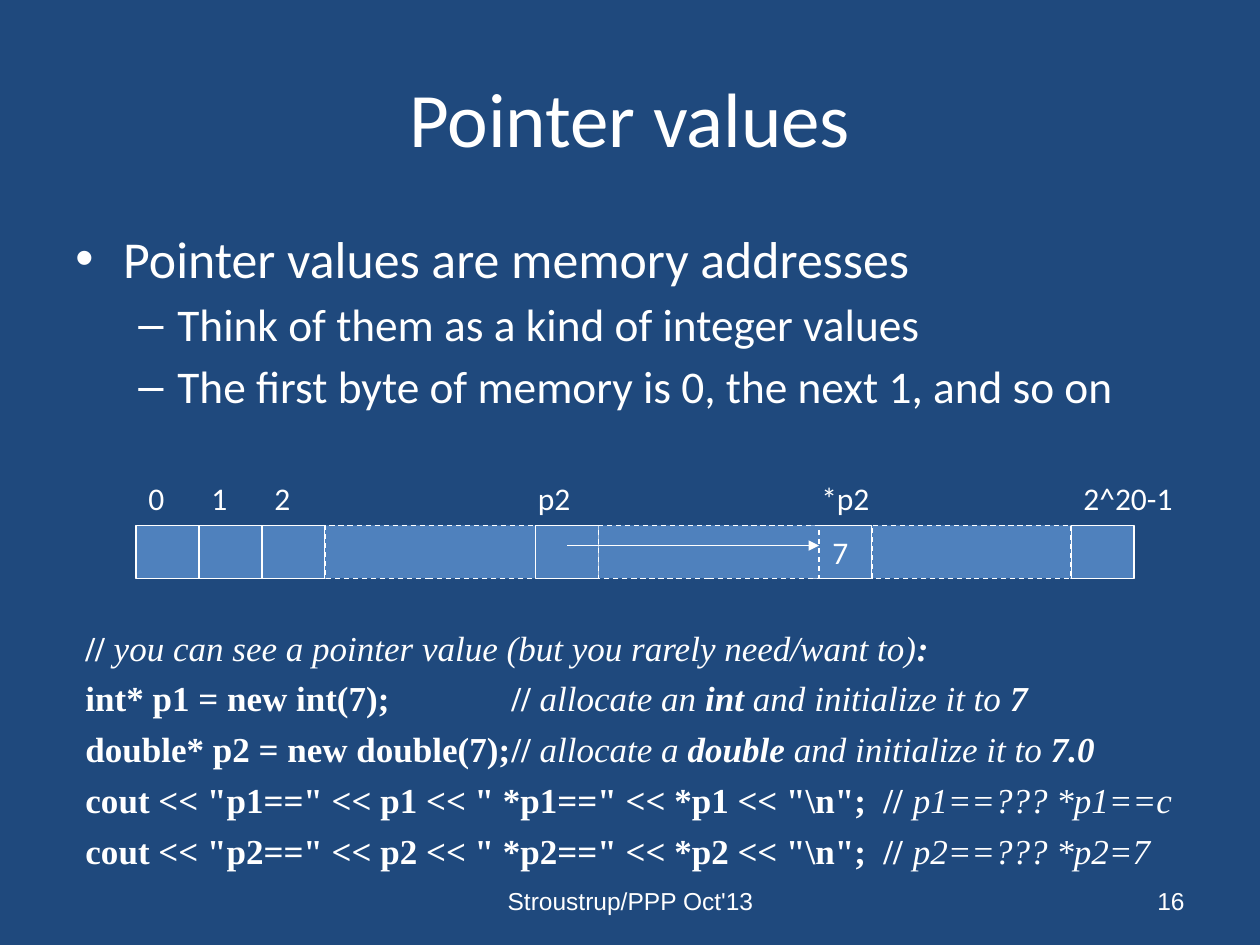
from lxml.etree import SubElement
from pptx import Presentation
from pptx.dml.color import RGBColor
from pptx.enum.dml import MSO_LINE
from pptx.enum.shapes import MSO_CONNECTOR, MSO_SHAPE
from pptx.enum.text import MSO_ANCHOR, PP_ALIGN
from pptx.oxml.ns import qn
from pptx.util import Inches, Pt

NAVY = RGBColor(0x1F, 0x49, 0x7D)
BLUE = RGBColor(0x4F, 0x81, 0xBD)
WHITE = RGBColor(0xFF, 0xFF, 0xFF)

CELL_TOP, CELL_HEIGHT, CELL_WIDTH = 4.17, 0.42, 0.5
LABEL_TOP = 3.75

BULLETS = [
    ("Pointer values are memory addresses", 29.6, "•", 0.38, 0.38),
    ("Think of them as a kind of integer values", 25.9, "–", 0.81, 0.31),
    ("The first byte of memory is 0, the next 1, and so on", 25.9, "–", 0.81, 0.31),
]

BOLD, ITALIC, BOLD_ITALIC = (True, False), (False, True), (True, True)
CODE = [
    [("// ", BOLD), ("you can see a pointer value (but you rarely need/want to)", ITALIC),
     (":", BOLD_ITALIC)],
    [("int* p1 = new int(7);\t\t// ", BOLD), ("allocate an", ITALIC), (" int ", BOLD_ITALIC),
     ("and initialize it to", ITALIC), (" 7", BOLD_ITALIC)],
    [("double* p2 = new double(7);\t// ", BOLD), ("allocate a", ITALIC),
     (" double ", BOLD_ITALIC), ("and initialize it to", ITALIC), (" 7.0", BOLD_ITALIC)],
    [('cout << "p1==" << p1 << " *p1==" << *p1 << "\\n";  // ', BOLD),
     ("p1==??? *p1==c", ITALIC)],
    [('cout << "p2==" << p2 << " *p2==" << *p2 << "\\n";  // ', BOLD),
     ("p2==??? *p2=7", ITALIC)],
]

LABELS = [("0", 1.08, 0.42), ("1", 1.58, 0.42), ("2", 2.08, 0.42),
          ("p2", 4.17, 0.67), ("*p2", 6.42, 0.67), ("2^20-1", 8.5, 1.08)]


def style_span(span, size, font="Calibri"):
    span.font.size = Pt(size)
    span.font.name = font
    span.font.color.rgb = WHITE


def set_indent(paragraph, margin, hanging):
    properties = paragraph._p.get_or_add_pPr()
    properties.set("marL", str(Inches(margin)))
    properties.set("indent", str(-Inches(hanging)))
    return properties


def add_box(page, left, top, width, height, anchor=MSO_ANCHOR.TOP):
    box = page.shapes.add_textbox(Inches(left), Inches(top), Inches(width), Inches(height))
    box.text_frame.word_wrap = True
    box.text_frame.vertical_anchor = anchor
    return box.text_frame


def add_line_of_text(page, text, place, size, font="Calibri",
                     align=PP_ALIGN.LEFT, anchor=MSO_ANCHOR.MIDDLE):
    frame = add_box(page, *place, anchor)
    frame.text = text
    paragraph = frame.paragraphs[0]
    paragraph.alignment = align
    style_span(paragraph.runs[0], size, font)


def add_bullets(page):
    frame = add_box(page, 0.5, 1.75, 9, 2)
    frame.text = "\n".join(text for text, *_ in BULLETS)
    for paragraph, (_, size, mark, margin, hanging) in zip(frame.paragraphs, BULLETS):
        properties = set_indent(paragraph, margin, hanging)
        paragraph.space_before = Pt(4.4)
        SubElement(properties, qn("a:buFont")).set("typeface", "Arial")
        SubElement(properties, qn("a:buChar")).set("char", mark)
        style_span(paragraph.runs[0], size)


def add_code(page):
    frame = add_box(page, 0.58, 4.92, 9.25, 2)
    for number, line in enumerate(CODE):
        paragraph = frame.add_paragraph() if number else frame.paragraphs[0]
        set_indent(paragraph, 0.38, 0.38)
        paragraph.space_before = Pt(5)
        for text, (bold, italic) in line:
            span = paragraph.add_run()
            span.text = text
            style_span(span, 20, "Times New Roman")
            span.font.bold, span.font.italic = bold, italic


def add_cell(page, left, width=CELL_WIDTH, dashed=False, text=""):
    cell = page.shapes.add_shape(MSO_SHAPE.RECTANGLE, Inches(left), Inches(CELL_TOP),
                                 Inches(width), Inches(CELL_HEIGHT))
    cell.shadow.inherit = False
    cell.fill.solid()
    cell.fill.fore_color.rgb = BLUE
    cell.line.color.rgb = WHITE
    cell.line.width = Pt(0.75)
    if dashed:
        cell.line.dash_style = MSO_LINE.DASH
    if text:
        cell.text_frame.text = text
        cell.text_frame.word_wrap = False
        cell.text_frame.vertical_anchor = MSO_ANCHOR.MIDDLE
        paragraph = cell.text_frame.paragraphs[0]
        paragraph.alignment = PP_ALIGN.CENTER
        style_span(paragraph.runs[0], 18)


def add_arrow(page, left, right, height):
    arrow = page.shapes.add_connector(MSO_CONNECTOR.STRAIGHT, Inches(left), Inches(height),
                                      Inches(right), Inches(height))
    arrow.line.color.rgb = WHITE
    arrow.line.width = Pt(0.75)
    SubElement(arrow.line._get_or_add_ln(), qn("a:tailEnd")).set("type", "triangle")
    SubElement(arrow._element.spPr, qn("a:effectLst"))


def add_memory(page):
    for left in (1.08, 1.58, 2.08, 8.5):
        add_cell(page, left)
    add_cell(page, 2.58, 1.67, dashed=True)
    add_cell(page, 6.92, 1.58, dashed=True)
    add_cell(page, 6.42, text="7")
    add_cell(page, 4.25)
    add_cell(page, 4.75, 1.75, dashed=True)
    add_arrow(page, 4.5, 6.5, 4.33)
    for text, left, width in LABELS:
        add_line_of_text(page, text, (left, LABEL_TOP, width, 0.4), 18,
                         anchor=MSO_ANCHOR.TOP)


def main():
    deck = Presentation()
    deck.slide_width, deck.slide_height = Inches(10), Inches(7.5)
    page = deck.slides.add_slide(deck.slide_layouts[6])
    page.background.fill.solid()
    page.background.fill.fore_color.rgb = NAVY
    add_line_of_text(page, "Pointer values", (0.5, 0.3, 9, 1.25), 44, align=PP_ALIGN.CENTER)
    add_bullets(page)
    add_code(page)
    add_memory(page)
    add_line_of_text(page, "Stroustrup/PPP Oct'13", (3.42, 6.95, 3.17, 0.4), 14, "Arial",
                     PP_ALIGN.CENTER)
    add_line_of_text(page, "16", (7.17, 6.95, 2.33, 0.4), 14, "Arial", PP_ALIGN.RIGHT)
    deck.save("out.pptx")


if __name__ == "__main__":
    main()
